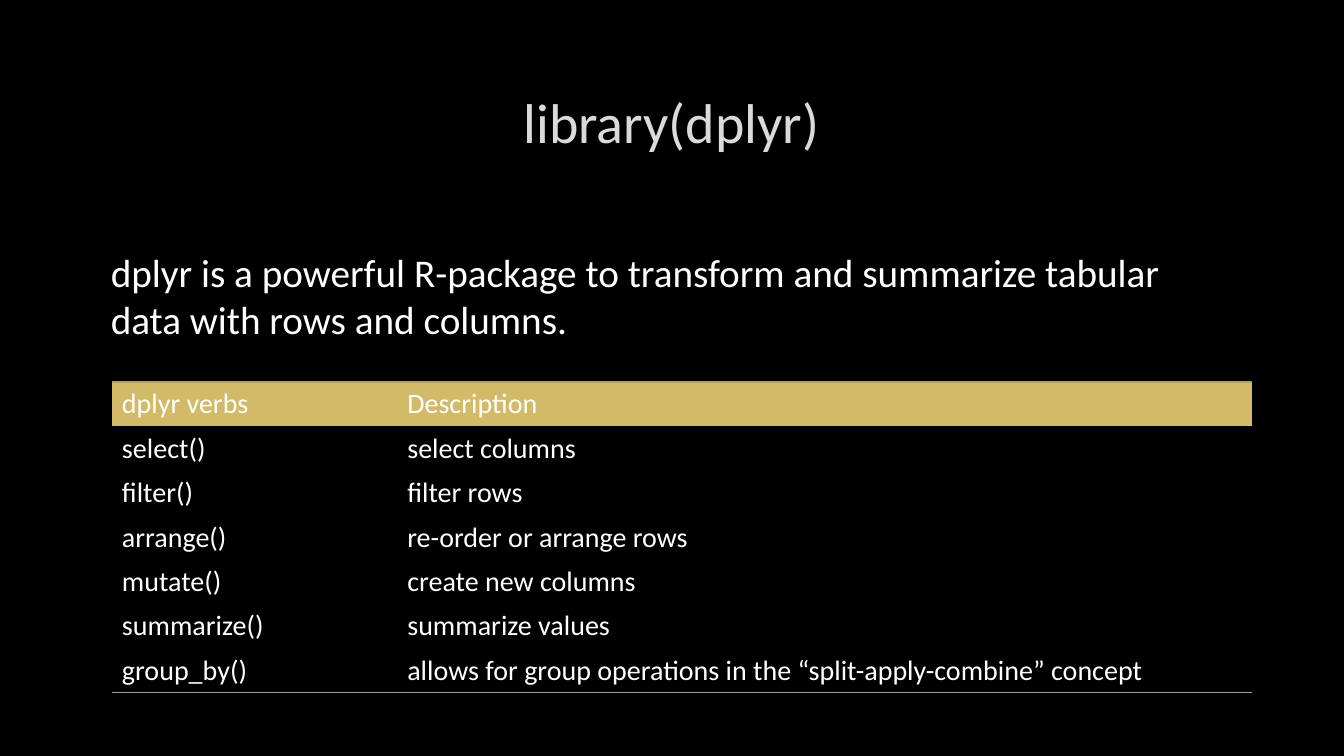
import dataclasses

import pptx
import pptx.dml.color
import pptx.enum.text
import pptx.oxml
import pptx.oxml.ns
import pptx.util

Inches = pptx.util.Inches
Pt = pptx.util.Pt
PLAIN_TABLE_STYLE = "{2D5ABB26-0587-4C30-8999-92F81FD0307C}"

VERBS = [
    ("dplyr verbs", "Description"),
    ("select()", "select columns"),
    ("filter()", "filter rows"),
    ("arrange()", "re-order or arrange rows"),
    ("mutate()", "create new columns"),
    ("summarize()", "summarize values"),
    ("group_by()", "allows for group operations in the “split-apply-combine” concept"),
]


@dataclasses.dataclass(frozen=True)
class Theme:
    font: str = "Calibri"
    background: str = "000000"
    title: str = "DADADA"
    text: str = "FFFFFF"
    header: str = "D3BA68"
    rule: str = "AD9D7B"
    title_size: int = 40
    intro_size: int = 28
    table_size: int = 20


def rgb(color):
    return pptx.dml.color.RGBColor.from_string(color)


class SlideBuilder:
    def __init__(self, deck, theme):
        self.theme = theme
        self.page = deck.slides.add_slide(deck.slide_layouts.get_by_name("Title Only"))
        self.paint(self.page.background.fill, theme.background)

    def paint(self, fill, color):
        fill.solid()
        fill.fore_color.rgb = rgb(color)

    def set_text(self, frame, text, size, color, align=pptx.enum.text.PP_ALIGN.LEFT):
        para = frame.paragraphs[0]
        para.alignment = align
        span = para.add_run()
        span.text = text
        look = {"name": self.theme.font, "size": Pt(size), "bold": False}
        for name, value in look.items():
            setattr(span.font, name, value)
        span.font.color.rgb = rgb(color)

    def title(self, text, left, top, width, height):
        box = self.page.shapes.title
        place = {"left": left, "top": top, "width": width, "height": height}
        for name, value in place.items():
            setattr(box, name, Inches(value))
        box.text_frame.vertical_anchor = pptx.enum.text.MSO_ANCHOR.MIDDLE
        self.set_text(box.text_frame, text, self.theme.title_size, self.theme.title,
                      pptx.enum.text.PP_ALIGN.CENTER)

    def paragraph(self, text, left, top, width, height):
        box = self.page.shapes.add_textbox(*map(Inches, (left, top, width, height)))
        box.text_frame.word_wrap = True
        self.set_text(box.text_frame, text, self.theme.intro_size, self.theme.text)

    def rule(self, cell, edge):
        """Draw a line on one edge of a cell: lnT is the top, lnB the bottom."""
        line = pptx.oxml.parse_xml(
            f'<a:{edge} {pptx.oxml.ns.nsdecls("a")} w="{Pt(1)}"><a:solidFill>'
            f'<a:srgbClr val="{self.theme.rule}"/></a:solidFill></a:{edge}>')
        cell._tc.get_or_add_tcPr().insert(0, line)

    def table(self, rows, left, top, column_widths, row_height):
        size = (sum(column_widths), row_height * len(rows))
        frame = self.page.shapes.add_table(
            len(rows), len(column_widths), *map(Inches, (left, top, *size)))
        table = frame.table
        table.horz_banding = False
        table._tbl.tblPr.find(pptx.oxml.ns.qn("a:tableStyleId")).text = PLAIN_TABLE_STYLE
        for column, width in zip(table.columns, column_widths):
            column.width = Inches(width)
        for index, texts in enumerate(rows):
            table.rows[index].height = Inches(row_height)
            for cell, text in zip(table.rows[index].cells, texts):
                cell.vertical_anchor = pptx.enum.text.MSO_ANCHOR.MIDDLE
                self.set_text(cell.text_frame, text, self.theme.table_size, self.theme.text)
                if index == 0:
                    self.paint(cell.fill, self.theme.header)
                    self.rule(cell, "lnT")
                else:
                    cell.fill.background()
                if index == len(rows) - 1:
                    self.rule(cell, "lnB")


def main():
    deck = pptx.Presentation()
    deck.slide_width = Inches(13.33)
    deck.slide_height = Inches(7.5)
    builder = SlideBuilder(deck, Theme())
    builder.title("library(dplyr)", 1, 0.67, 11.32, 1.06)
    builder.table(VERBS, 1.11, 3.79, (2.83, 8.48), 0.43)
    builder.paragraph("dplyr is a powerful R-package to transform and summarize tabular "
                      "data with rows and columns.", 1, 2.41, 11.32, 1.04)
    deck.save("out.pptx")


if __name__ == "__main__":
    main()
